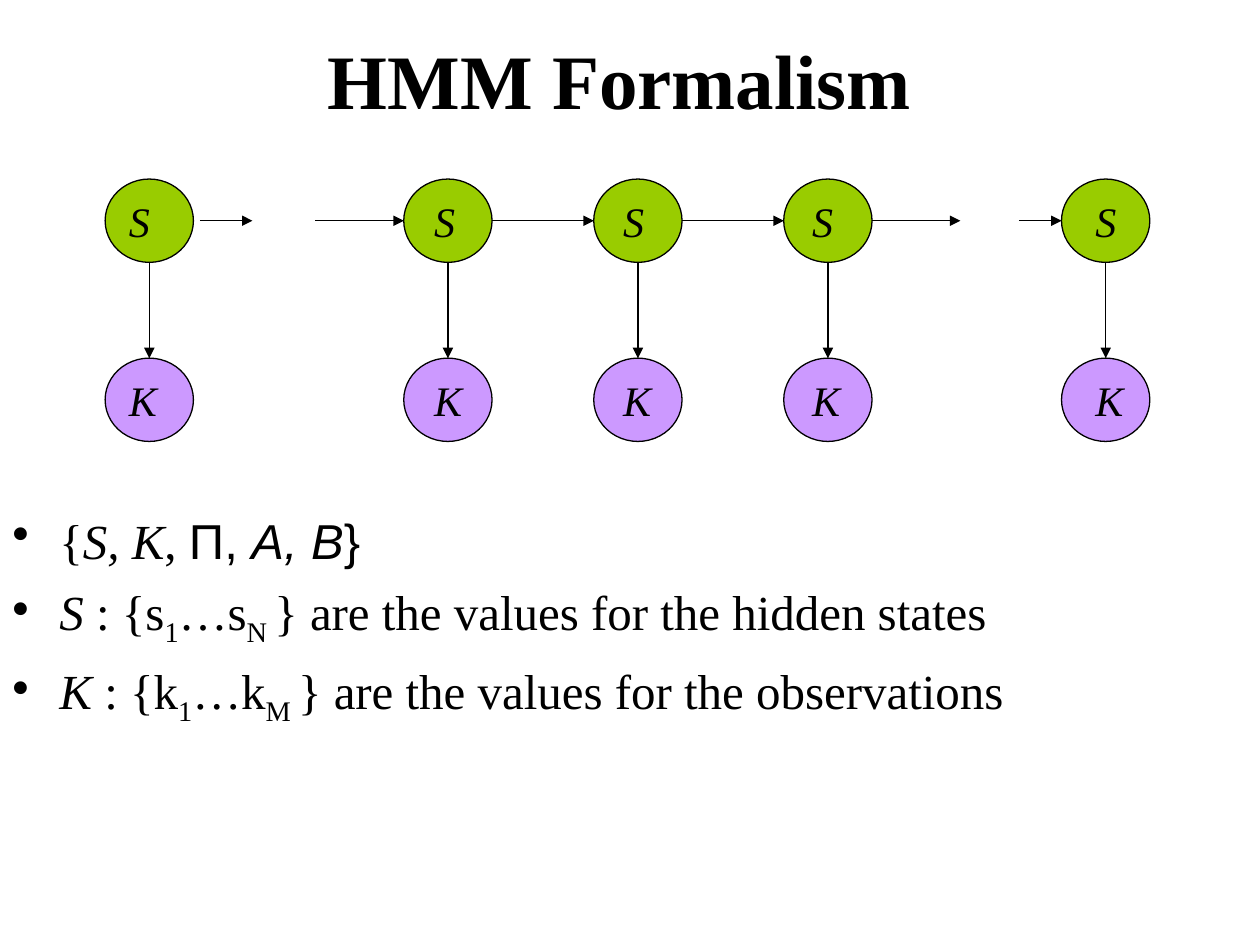
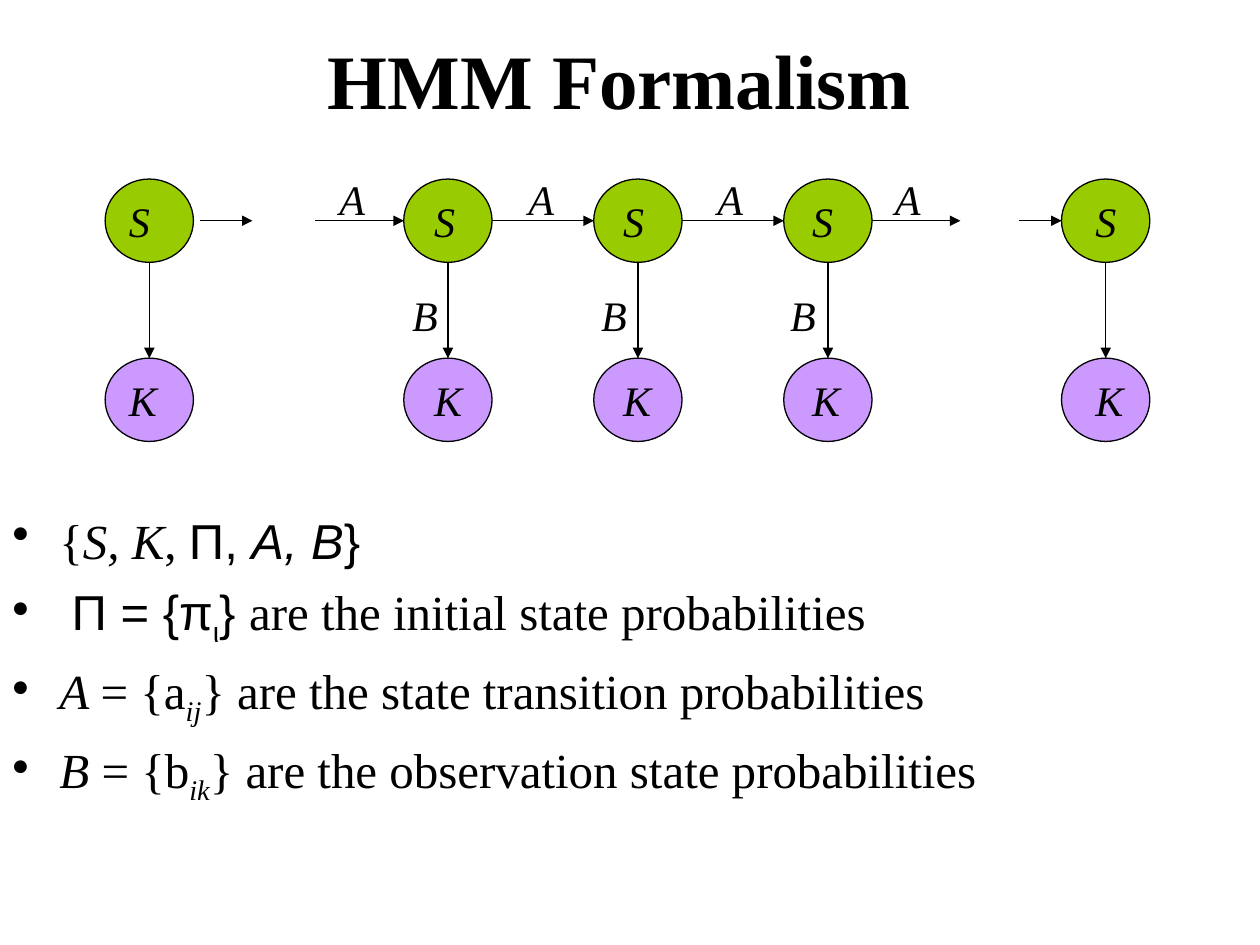
import collections

import lxml.etree
import pptx
import pptx.dml.color
import pptx.enum.shapes
import pptx.enum.text
import pptx.oxml.ns
import pptx.util

Cm = pptx.util.Cm
Pt = pptx.util.Pt
qn = pptx.oxml.ns.qn
Box = collections.namedtuple("Box", "left top width height")

BLACK = pptx.dml.color.RGBColor(0x00, 0x00, 0x00)
STATE_GREEN = pptx.dml.color.RGBColor(0x99, 0xCC, 0x00)
OBSERVATION_PURPLE = pptx.dml.color.RGBColor(0xCC, 0x99, 0xFF)
SERIF = "Times New Roman"
SANS = "Arial"

TITLE_BOX = Box(1.7, 0, 21.59, 3.18)
DIAGRAM_BOX = Box(2.12, 3.61, 21.06, 5.28)
BULLET_BOX = Box(0, 10.16, 25.4, 8.89)

# All chain measures are centimetres from the corner of the diagram box.
NODE_WIDTH, NODE_HEIGHT = 1.78, 1.68
ROW_PITCH = 3.61
FIRST_X, LAST_X = 0, 19.28
MIDDLE_XS = [6.02 + 3.83 * step for step in range(3)]
NODE_XS = [FIRST_X, *MIDDLE_XS, LAST_X]
LETTER_XS = [0.23, 6.38, 10.19, 14.0, 19.71]
OPEN_ARROW = 1.78
LETTER_WIDTHS = {"S": 0.91, "K": 1.07, "A": 1.02, "B": 1.02}
TRANSITION_XS = [4.47, 8.28, 12.09, 15.67]
EMISSION_XS = [5.94, 9.75, 13.56]

# Each bullet is a list of (text, marks): i italic, a sans font, s subscript.
MODEL = [("{", ""), ("S, K", "i"), (", ", ""), ("Π, ", "a"), ("Α, Β", "ai"), ("}", "a")]
SET_BULLETS = [
    MODEL,
    [("S", "i"), (" : {s", ""), ("1", "s"), ("…s", ""), ("N ", "s"),
     ("} are the values for the hidden states", "")],
    [("K", "i"), (" : {k", ""), ("1", "s"), ("…k", ""), ("M ", "s"),
     ("} are the values for the observations", "")],
]
PROBABILITY_BULLETS = [
    MODEL,
    [(" ", ""), ("Π = {π", "a"), ("ι", "as"), ("} ", "a"),
     ("are the initial state probabilities", "")],
    [("A ", "i"), ("= {a", ""), ("ij", "is"),
     ("} are the state transition probabilities", "")],
    [("B", "i"), (" = {b", ""), ("ik", "is"),
     ("} are the observation state probabilities", "")],
]


def add_run(para, text, size, marks="", bold=False):
    span = para.add_run()
    span.text = text
    font = span.font
    font.name = SANS if "a" in marks else SERIF
    font.size = Pt(size)
    font.bold = bold
    font.italic = "i" in marks
    font.color.rgb = BLACK
    if "s" in marks:
        span._r.get_or_add_rPr().set("baseline", "-25000")


def add_title(page, box, text):
    title = page.shapes.title
    title.left, title.top, title.width, title.height = map(Cm, box)
    frame = title.text_frame
    frame.auto_size = pptx.enum.text.MSO_AUTO_SIZE.NONE
    frame.vertical_anchor = pptx.enum.text.MSO_ANCHOR.MIDDLE
    para = frame.paragraphs[0]
    para.alignment = pptx.enum.text.PP_ALIGN.CENTER
    add_run(para, text, 44, bold=True)


def set_bullet(para):
    properties = para._p.get_or_add_pPr()
    properties.set("marL", str(Cm(0.95)))
    properties.set("indent", str(-Cm(0.95)))
    color = lxml.etree.SubElement(properties, qn("a:buClr"))
    lxml.etree.SubElement(color, qn("a:srgbClr"), val=str(BLACK))
    lxml.etree.SubElement(properties, qn("a:buChar"), char="•")


def add_bullets(page, box, bullets):
    frame = page.shapes.add_textbox(*map(Cm, box)).text_frame
    frame.word_wrap = True
    for index, runs in enumerate(bullets):
        para = frame.add_paragraph() if index else frame.paragraphs[0]
        para.space_before = Pt(7)
        set_bullet(para)
        for text, marks in runs:
            add_run(para, text, 28, marks)


def add_node(page, left, top, color):
    node = page.shapes.add_shape(
        pptx.enum.shapes.MSO_SHAPE.OVAL,
        Cm(left), Cm(top), Cm(NODE_WIDTH), Cm(NODE_HEIGHT))
    node.shadow.inherit = False
    node.fill.solid()
    node.fill.fore_color.rgb = color
    node.line.color.rgb = BLACK
    node.line.width = Pt(0.75)


def add_arrow(page, *ends):
    arrow = page.shapes.add_connector(
        pptx.enum.shapes.MSO_CONNECTOR.STRAIGHT, *map(Cm, ends))
    arrow.line.color.rgb = BLACK
    arrow.line.width = Pt(0.75)
    lxml.etree.SubElement(arrow.line._get_or_add_ln(), qn("a:tailEnd"), type="triangle")
    lxml.etree.SubElement(arrow._element.spPr, qn("a:effectLst"))


def add_letter(page, left, top, letter):
    label = page.shapes.add_textbox(
        Cm(left), Cm(top), Cm(LETTER_WIDTHS[letter]), Cm(1.27))
    frame = label.text_frame
    frame.word_wrap = False
    frame.auto_size = pptx.enum.text.MSO_AUTO_SIZE.SHAPE_TO_FIT_TEXT
    add_run(frame.paragraphs[0], letter, 24, "i")


def add_chain(page, box):
    """Draw the hidden states, their observations and the arrows between them."""
    for row, (letter, color) in enumerate([("S", STATE_GREEN), ("K", OBSERVATION_PURPLE)]):
        top = box.top + row * ROW_PITCH
        for node_x, letter_x in zip(NODE_XS, LETTER_XS):
            add_node(page, box.left + node_x, top, color)
            add_letter(page, box.left + letter_x, top + 0.2, letter)

    for node_x in NODE_XS:
        center = box.left + node_x + NODE_WIDTH / 2
        add_arrow(page, center, box.top + NODE_HEIGHT, center, box.top + ROW_PITCH)

    chain_end = MIDDLE_XS[-1] + NODE_WIDTH
    spans = [(1.91, 2.97), (MIDDLE_XS[0] - OPEN_ARROW, MIDDLE_XS[0])]
    spans += [(x + NODE_WIDTH, next_x) for x, next_x in zip(MIDDLE_XS, MIDDLE_XS[1:])]
    spans += [(chain_end, chain_end + OPEN_ARROW), (18.42, LAST_X)]
    middle = box.top + NODE_HEIGHT / 2
    for start, end in spans:
        add_arrow(page, box.left + start, middle, box.left + end, middle)


def add_arrow_letters(page, box):
    for letter, drop, letter_xs in [("A", -0.23, TRANSITION_XS), ("B", 2.11, EMISSION_XS)]:
        for letter_x in letter_xs:
            add_letter(page, box.left + letter_x, box.top + drop, letter)


def add_formalism_slide(deck, bullets, arrow_letters):
    page = deck.slides.add_slide(deck.slide_layouts.get_by_name("Title Only"))
    add_title(page, TITLE_BOX, "HMM Formalism")
    add_bullets(page, BULLET_BOX, bullets)
    add_chain(page, DIAGRAM_BOX)
    if arrow_letters:
        add_arrow_letters(page, DIAGRAM_BOX)


def main():
    deck = pptx.Presentation()
    deck.slide_width, deck.slide_height = Cm(25.4), Cm(19.05)
    add_formalism_slide(deck, SET_BULLETS, arrow_letters=False)
    add_formalism_slide(deck, PROBABILITY_BULLETS, arrow_letters=True)
    deck.save("out.pptx")


if __name__ == "__main__":
    main()
